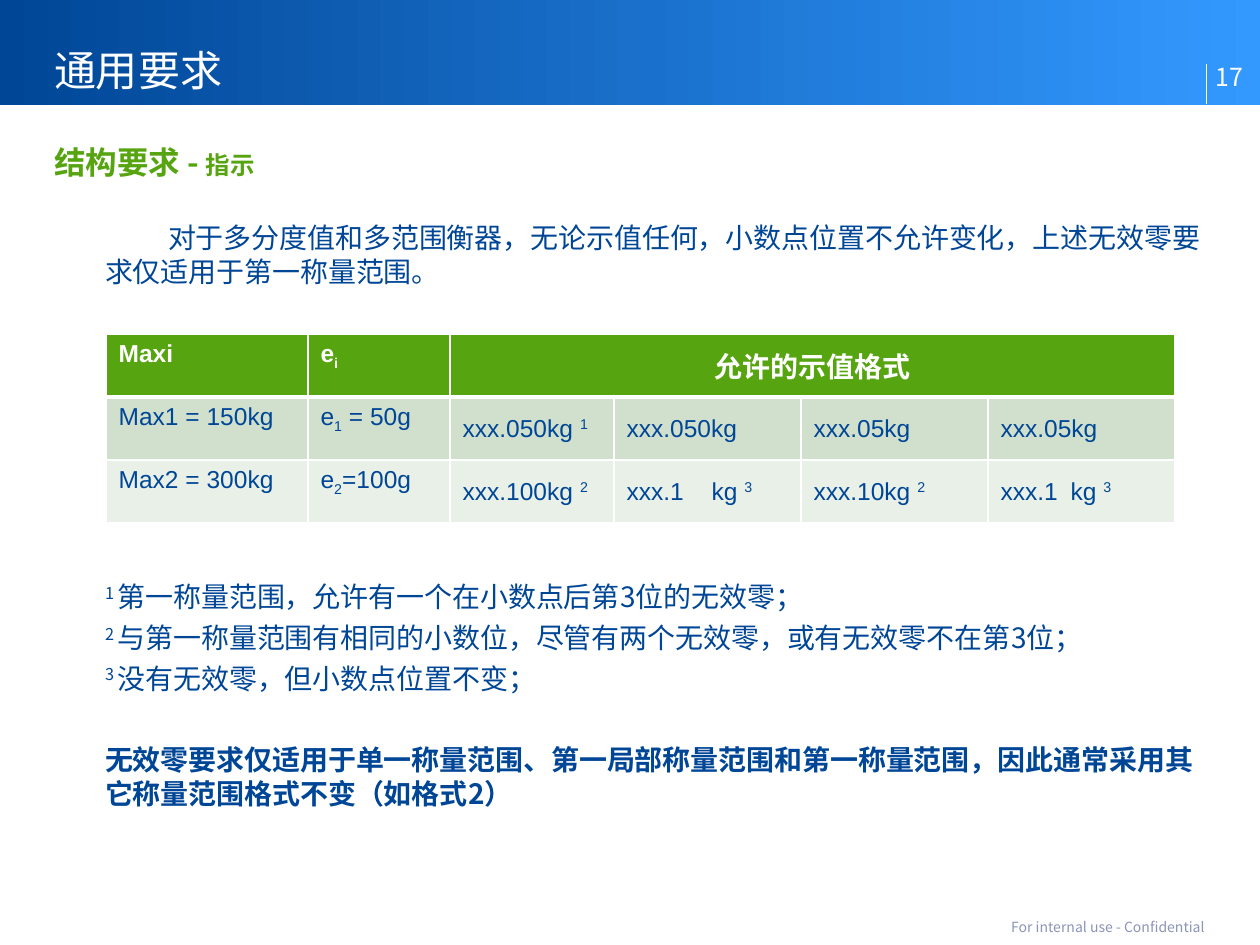
from lxml.etree import SubElement
from pptx import Presentation
from pptx.dml.color import RGBColor
from pptx.enum.shapes import MSO_CONNECTOR, MSO_SHAPE
from pptx.enum.text import MSO_ANCHOR as ANCHOR, PP_ALIGN as ALIGN
from pptx.oxml.ns import qn
from pptx.util import Emu, Pt

COLOURS = {"navy": "004696", "sky": "3399FF", "green": "56A410", "white": "FFFFFF",
           "sage": "D1E0CC", "mist": "E9F0E7", "lavender": "8C94B8"}
RGB = {name: RGBColor.from_string(code) for name, code in COLOURS.items()}
CJK = "Noto Sans CJK SC"


def px(length):
    return Emu(round(length * 914400 / 126))


def write(paragraph, pieces, size, colour, face=CJK, bold=False, align=ALIGN.LEFT):
    """Fill a paragraph; a piece is a string or a (string, baseline percent) pair."""
    paragraph.alignment = align
    font = paragraph.font
    font.size, font.bold, font.name = Pt(size), bold, face
    font.color.rgb = RGB[colour]
    defaults = paragraph._p.pPr.find(qn("a:defRPr"))
    SubElement(defaults, qn("a:ea"), typeface=CJK)
    for piece in pieces:
        text, baseline = (piece, 0) if isinstance(piece, str) else piece
        run = paragraph.add_run()
        run.text = text
        if baseline:
            run._r.get_or_add_rPr().set("baseline", str(baseline * 1000))


prs = Presentation()
prs.slide_width, prs.slide_height = px(1260), px(945)
slide = prs.slides.add_slide(prs.slide_layouts[6])
shapes = slide.shapes

# Header band with the rule beside the page number
band = shapes.add_shape(MSO_SHAPE.RECTANGLE, 0, 0, px(1260), px(105))
band.shadow.inherit = False
band.line.fill.background()
band.fill.gradient()
band.fill.gradient_angle = 0
for stop, shade in zip(band.fill.gradient_stops, ("navy", "sky")):
    stop.color.rgb = RGB[shade]

rule = shapes.add_connector(MSO_CONNECTOR.STRAIGHT, px(1206), px(104), px(1206), px(64))
rule.line.color.rgb = RGB["white"]
rule.line.width = Pt(0.5)
SubElement(rule._element.spPr, qn("a:effectLst"))

# Text: place, anchor, size, colour, bold, alignment, line spacing, first-line indent, paragraphs
TOP, MIDDLE, BOTTOM = ANCHOR.TOP, ANCHOR.MIDDLE, ANCHOR.BOTTOM
texts = [
    ((54, 26, 953, 69), BOTTOM, 24, "white", False, ALIGN.LEFT, 26, 0, [["通用要求"]]),
    ((54, 142, 1152, 45), TOP, 18, "green", True, ALIGN.LEFT, 22, 0,
     [["结构要求 - ", "指示"]]),
    ((105, 221, 1101, 74), TOP, 16, "navy", False, ALIGN.LEFT, 19.2, 63,
     [["对于多分度值和多范围衡器，无论示值任何，小数点位置不允许变化，"
       "上述无效零要求仅适用于第一称量范围。"]]),
    ((105, 580, 1101, 122), TOP, 16, "navy", False, ALIGN.LEFT, 19.2, 0,
     [[("1 ", 30), "第一称量范围，允许有一个在小数点后第3位的无效零；"],
      [("2 ", 30), "与第一称量范围有相同的小数位，尽管有两个无效零，或有无效零不在第3位；"],
      [("3 ", 30), "没有无效零，但小数点位置不变；"]]),
    ((105, 743, 1101, 74), TOP, 16, "navy", True, ALIGN.LEFT, 19.2, 0,
     [["无效零要求仅适用于单一称量范围、第一局部称量范围和第一称量范围，"
       "因此通常采用其它称量范围格式不变（如格式2）"]]),
    ((1216, 46, 44, 45), BOTTOM, 14.2, "white", False, ALIGN.LEFT, None, 0, [["17"]]),
    ((54, 916, 1151, 21), MIDDLE, 8, "lavender", False, ALIGN.RIGHT, None, 0,
     [["For internal use - Confidential"]]),
]
for place, anchor, size, colour, bold, align, spacing, indent, paragraphs in texts:
    frame = shapes.add_textbox(*map(px, place)).text_frame
    frame.word_wrap = True
    frame.vertical_anchor = anchor
    frame.margin_left = frame.margin_top = frame.margin_right = frame.margin_bottom = 0
    for index, pieces in enumerate(paragraphs):
        paragraph = frame.add_paragraph() if index else frame.paragraphs[0]
        write(paragraph, pieces, size, colour, bold=bold, align=align)
        if spacing:
            paragraph.line_spacing = Pt(spacing)
        if len(paragraphs) > 1:
            paragraph.space_after = Pt(4)
        if indent:
            paragraph._p.pPr.set("indent", str(px(indent)))
        if len(pieces) > 1 and colour == "green":
            paragraph.runs[1].font.size = Pt(14)

# Table of permitted indication formats
column_widths = [202, 142, 164, 187, 187, 187]
row_height = 63
rows = [
    [["Maxi"], ["e", ("i", -25)], ["允许的示值格式"], [], [], []],
    [["Max1 = 150kg"], ["e", ("1", -25), " = 50g"], ["xxx.050kg ", ("1", 30)],
     ["xxx.050kg"], ["xxx.05kg"], ["xxx.05kg"]],
    [["Max2 = 300kg"], ["e", ("2", -25), "=100g"], ["xxx.100kg ", ("2", 30)],
     ["xxx.1\tkg ", ("3", 30)], ["xxx.10kg ", ("2", 30)], ["xxx.1\tkg ", ("3", 30)]],
]
tab_stops = {3: 85, 5: 70}
table = shapes.add_table(len(rows), len(column_widths), px(106), px(334),
                         px(sum(column_widths)), px(row_height * len(rows))).table
for column, width in zip(table.columns, column_widths):
    column.width = px(width)
table.cell(0, 2).merge(table.cell(0, 5))

for r, (row, fill) in enumerate(zip(rows, ("green", "sage", "mist"))):
    table.rows[r].height = px(row_height)
    header = r == 0
    for c, pieces in enumerate(row):
        cell = table.cell(r, c)
        cell.vertical_anchor = MIDDLE if c >= 2 else TOP
        properties = cell._tc.get_or_add_tcPr()
        for side in ("lnL", "lnR", "lnT", "lnB"):
            thick = (header and side == "lnB") or (r == 1 and side == "lnT")
            border = SubElement(properties, qn(f"a:{side}"), w=str(Pt(3 if thick else 1)))
            SubElement(SubElement(border, qn("a:solidFill")), qn("a:srgbClr"),
                       val=COLOURS["white"])
        cell.fill.solid()
        cell.fill.fore_color.rgb = RGB[fill]
        if not pieces:
            continue
        paragraph = cell.text_frame.paragraphs[0]
        if "\t" in pieces[0]:
            tabs = SubElement(paragraph._p.get_or_add_pPr(), qn("a:tabLst"))
            SubElement(tabs, qn("a:tab"), pos=str(px(tab_stops[c])), algn="l")
        spanning = header and c == 2
        write(paragraph, pieces, 16 if spanning else 14, "white" if header else "navy",
              face="Arial", bold=header, align=ALIGN.CENTER if spanning else ALIGN.LEFT)

prs.save("out.pptx")
